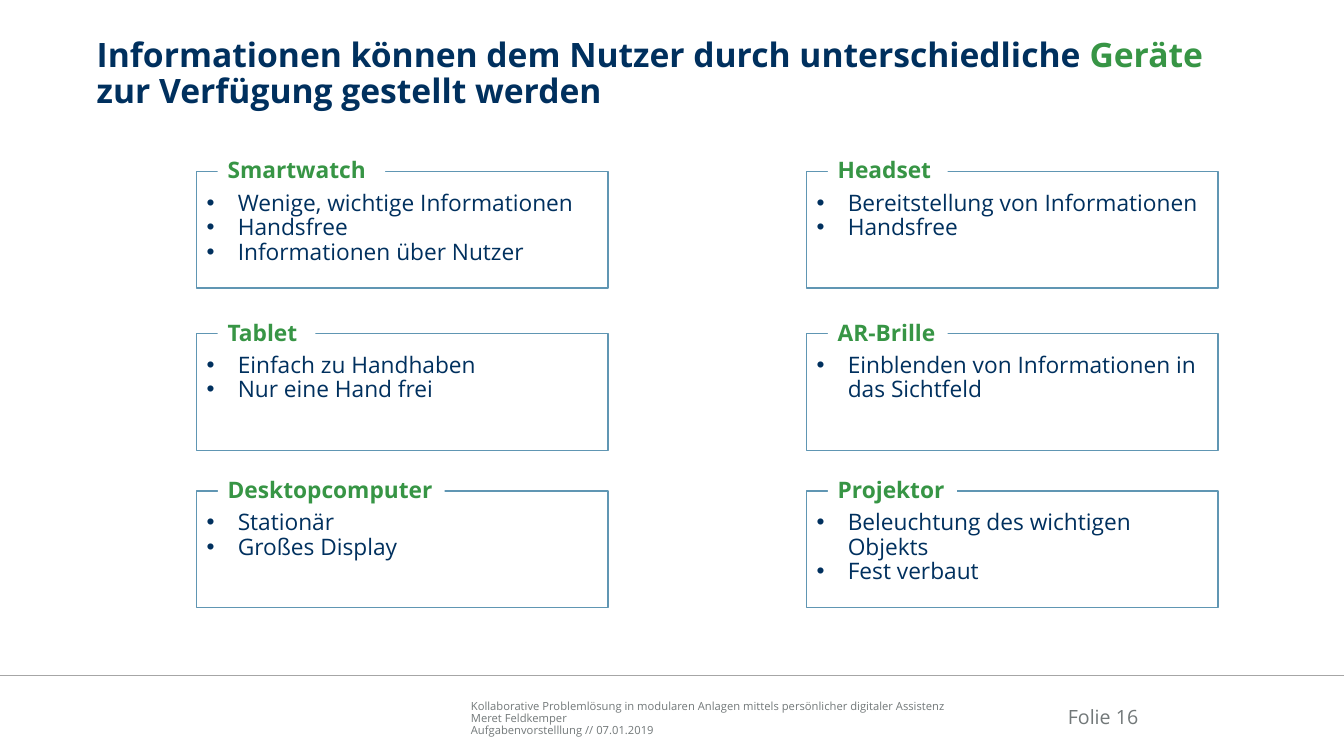
from dataclasses import dataclass

from lxml import etree
from pptx import Presentation
from pptx.dml.color import RGBColor
from pptx.enum.shapes import MSO_CONNECTOR, MSO_SHAPE
from pptx.enum.text import MSO_ANCHOR, PP_ALIGN
from pptx.oxml.ns import qn
from pptx.util import Inches, Pt

RECTANGLE = MSO_SHAPE.RECTANGLE
STRAIGHT = MSO_CONNECTOR.STRAIGHT
TOP, MIDDLE, BOTTOM = MSO_ANCHOR.TOP, MSO_ANCHOR.MIDDLE, MSO_ANCHOR.BOTTOM
LEFT, RIGHT = PP_ALIGN.LEFT, PP_ALIGN.RIGHT

NAVY = RGBColor(0x00, 0x30, 0x5E)
GREEN = RGBColor(0x37, 0x95, 0x45)
STEEL = RGBColor(0x60, 0x96, 0xB3)
GRAY = RGBColor(0x72, 0x78, 0x79)
RULE_GRAY = RGBColor(0xA6, 0xA6, 0xA6)
WHITE = RGBColor(0xFF, 0xFF, 0xFF)

FONT = "Open Sans"
LINE_SPACING = 0.9
CARD_WIDTH, CARD_HEIGHT = 4.08, 1.16
LABEL_OFFSET_X, LABEL_OFFSET_Y, LABEL_HEIGHT = 0.21, -0.185, 0.37
COLUMNS = (1.95, 8.0)
ROWS = (1.7, 3.31, 4.87)
INDENT = 0.31


@dataclass
class Device:
    name: str
    column: int
    row: int
    label_width: float
    points: tuple[str, ...]


@dataclass
class Style:
    size: float
    color: RGBColor
    bold: bool = False
    align: PP_ALIGN = LEFT
    bulleted: bool = False


DEVICES = (
    Device("Smartwatch", 0, 0, 1.66, (
        "Wenige, wichtige Informationen", "Handsfree", "Informationen über Nutzer")),
    Device("Tablet", 0, 1, 0.97, ("Einfach zu Handhaben", "Nur eine Hand frei")),
    Device("Headset", 1, 0, 1.19, ("Bereitstellung von Informationen", "Handsfree")),
    Device("AR-Brille", 1, 1, 1.19, ("Einblenden von Informationen in das Sichtfeld",)),
    Device("Projektor", 1, 2, 1.28, ("Beleuchtung des wichtigen Objekts", "Fest verbaut")),
    Device("Desktopcomputer", 0, 2, 2.25, ("Stationär", "Großes Display")),
)
TITLE = (
    ("Informationen können dem Nutzer durch unterschiedliche ", NAVY),
    ("Geräte", GREEN),
    (" zur Verfügung gestellt werden", NAVY),
)
FOOTER = (
    "Kollaborative Problemlösung in modularen Anlagen mittels persönlicher digitaler Assistenz",
    "Meret Feldkemper",
    "Aufgabenvorstelllung // 07.01.2019",
)
TITLE_STYLE = Style(24, NAVY, bold=True)
LABEL_STYLE = Style(16.2, GREEN, bold=True)
POINT_STYLE = Style(16.2, NAVY, bulleted=True)
FOOTER_STYLE = Style(8, GRAY)
NUMBER_STYLE = Style(14, GRAY, align=RIGHT)


def add_bullet(para) -> None:
    properties = para._p.get_or_add_pPr()
    properties.set("marL", str(Inches(INDENT)))
    properties.set("indent", str(-Inches(INDENT)))
    etree.SubElement(properties, qn("a:buFont")).set("typeface", "Arial")
    etree.SubElement(properties, qn("a:buChar")).set("char", "•")


def format_paragraph(para, style: Style) -> None:
    if style.bulleted:
        add_bullet(para)
    para.alignment = style.align
    para.line_spacing = LINE_SPACING
    para.font.name = FONT
    para.font.size = Pt(style.size)
    para.font.bold = style.bold
    para.font.color.rgb = style.color


def fill_text(frame, lines: tuple[str, ...], style: Style, anchor: MSO_ANCHOR,
              insets: tuple[float, float, float, float]) -> None:
    frame.word_wrap = True
    frame.vertical_anchor = anchor
    frame.margin_left, frame.margin_top, frame.margin_right, frame.margin_bottom = map(
        Inches, insets)
    for index, line in enumerate(lines):
        para = frame.paragraphs[0] if index == 0 else frame.add_paragraph()
        para.text = line
        format_paragraph(para, style)


def add_text(page, area: tuple[float, float, float, float], lines: tuple[str, ...],
             style: Style, anchor: MSO_ANCHOR):
    box = page.shapes.add_textbox(*map(Inches, area))
    fill_text(box.text_frame, lines, style, anchor, (0, 0, 0, 0))
    return box


def add_rectangle(shapes, left: float, top: float, width: float, height: float):
    box = shapes.add_shape(RECTANGLE, *map(Inches, (left, top, width, height)))
    box.shadow.inherit = False
    box.fill.solid()
    box.fill.fore_color.rgb = WHITE
    return box


def add_device(page, device: Device) -> None:
    left, top = COLUMNS[device.column], ROWS[device.row]
    group = page.shapes.add_group_shape()
    card = add_rectangle(group.shapes, left, top, CARD_WIDTH, CARD_HEIGHT)
    card.line.color.rgb = STEEL
    card.line.width = Pt(1)
    fill_text(card.text_frame, device.points, POINT_STYLE, TOP, (0.1, 0.2, 0.1, 0.05))
    label = add_rectangle(group.shapes, left + LABEL_OFFSET_X, top + LABEL_OFFSET_Y,
                          device.label_width, LABEL_HEIGHT)
    label.line.fill.background()
    fill_text(label.text_frame, (device.name,), LABEL_STYLE, MIDDLE, (0.1, 0.05, 0.1, 0.05))


def add_title(page) -> None:
    box = add_text(page, (0.96, 0.38, 11.57, 0.75), ("",), TITLE_STYLE, TOP)
    for text, color in TITLE:
        span = box.text_frame.paragraphs[0].add_run()
        span.text = text
        span.font.color.rgb = color


def add_footer(page) -> None:
    add_text(page, (4.67, 6.91, 4.91, 0.4), FOOTER, FOOTER_STYLE, BOTTOM)
    rule = page.shapes.add_connector(
        STRAIGHT, Inches(0), Inches(6.7), Inches(13.33), Inches(6.7))
    rule.line.color.rgb = RULE_GRAY
    rule.line.width = Pt(1)
    etree.SubElement(rule._element.spPr, qn("a:effectLst"))
    add_text(page, (10.3, 6.87, 0.99, 0.5), ("Folie 16",), NUMBER_STYLE, MIDDLE)


def main() -> None:
    deck = Presentation()
    deck.slide_width, deck.slide_height = Inches(13.33), Inches(7.5)
    page = deck.slides.add_slide(deck.slide_layouts[6])
    # Footer and title
    add_footer(page)
    add_title(page)
    # Device cards
    for device in DEVICES:
        add_device(page, device)
    deck.save("out.pptx")


if __name__ == "__main__":
    main()
